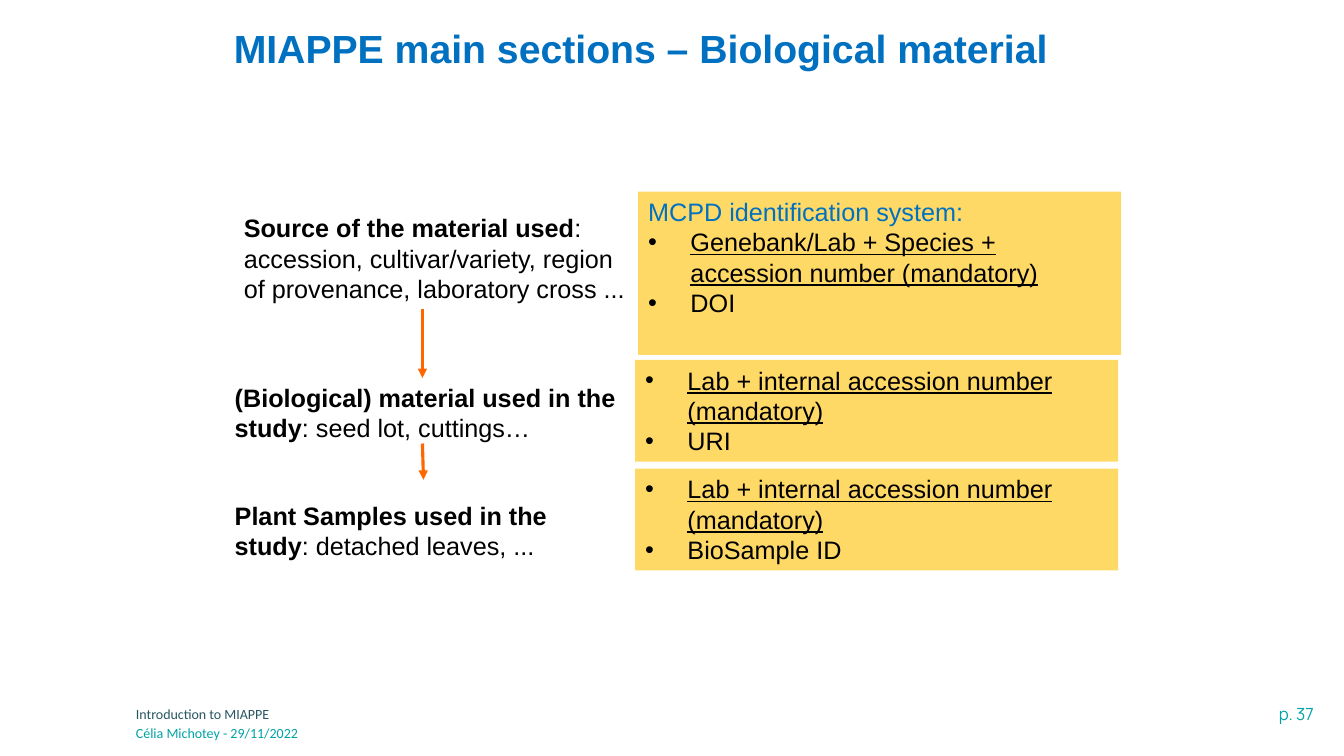
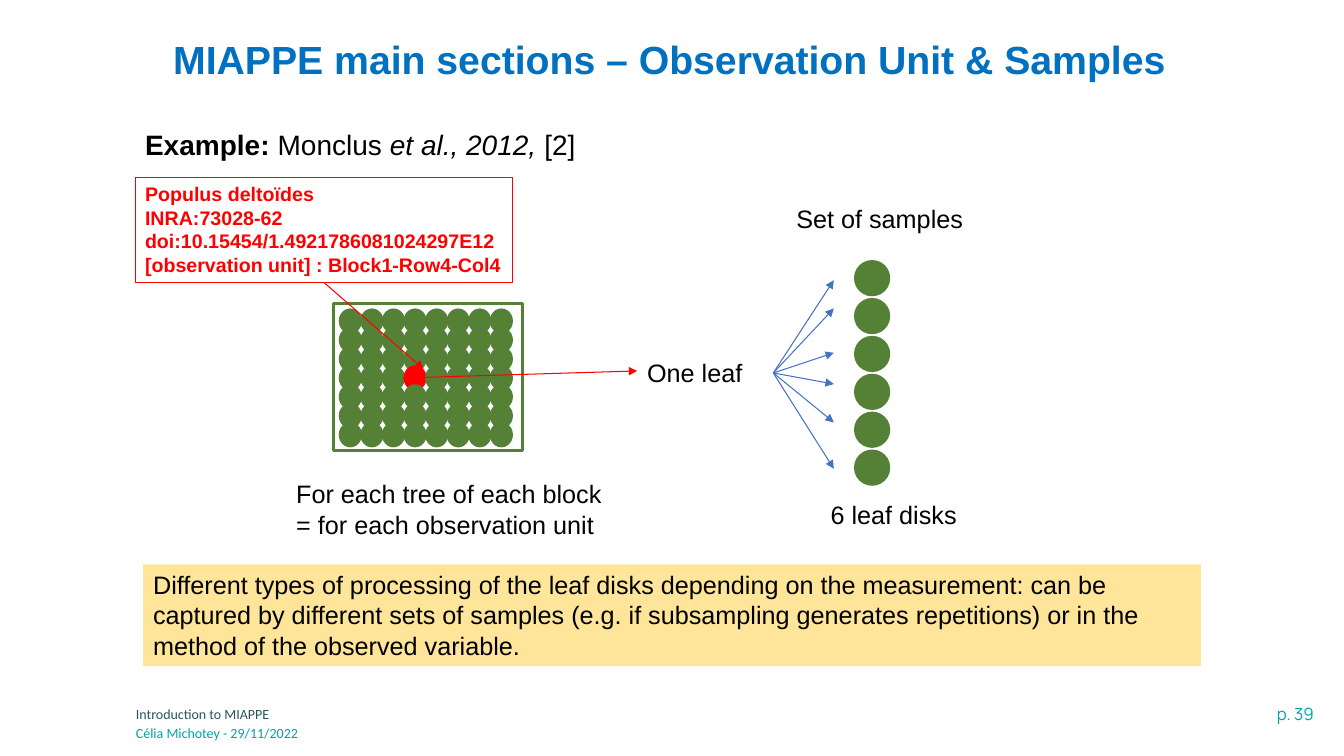
"""Build two slides on MIAPPE biological material, observation units and samples."""
from lxml import etree
from pptx import Presentation
from pptx.dml.color import RGBColor
from pptx.enum.shapes import MSO_CONNECTOR, MSO_SHAPE
from pptx.enum.text import MSO_ANCHOR, PP_ALIGN
from pptx.oxml.ns import qn
from pptx.util import Inches, Pt

RECTANGLE, OVAL = MSO_SHAPE.RECTANGLE, MSO_SHAPE.OVAL
STRAIGHT = MSO_CONNECTOR.STRAIGHT
LEFT, RIGHT = PP_ALIGN.LEFT, PP_ALIGN.RIGHT
TOP = MSO_ANCHOR.TOP

BLACK = RGBColor(0x00, 0x00, 0x00)
WHITE = RGBColor(0xFF, 0xFF, 0xFF)
TITLE_BLUE = RGBColor(0x00, 0x70, 0xC0)
TEAL = RGBColor(0x00, 0xA3, 0xA6)
DARK_TEAL = RGBColor(0x27, 0x56, 0x62)
GOLD = RGBColor(0xFF, 0xD9, 0x66)
PALE_GOLD = RGBColor(0xFE, 0xE5, 0x99)
ORANGE = RGBColor(0xFF, 0x66, 0x00)
GREEN = RGBColor(0x54, 0x81, 0x35)
RED = RGBColor(0xFF, 0x00, 0x00)
ARROW_BLUE = RGBColor(0x44, 0x72, 0xC4)

SLIDE_SIZE = (13.33, 7.5)
FOOTER = [
    ("Introduction to MIAPPE", 6.95, DARK_TEAL),
    ("Célia Michotey - 29/11/2022", 7.14, TEAL),
]
BULLET_INDENT = 0.42

MATERIALS = [
    ((2.32, 2.06, 4.1, 1.01), "Source of the material used",
     ": accession, cultivar/variety, region of provenance, laboratory cross ..."),
    ((2.23, 3.74, 4.1, 0.68), "(Biological) material used in the study",
     ": seed lot, cuttings…"),
    ((2.23, 4.91, 4.06, 0.68), "Plant Samples used in the study",
     ": detached leaves, ..."),
]
IDENTIFIERS = [
    ((6.33, 1.9, 4.79, 1.62), "MCPD identification system:",
     "Genebank/Lab + Species + accession number (mandatory)", "DOI"),
    ((6.3, 3.57, 4.79, 1.01), None,
     "Lab + internal accession number (mandatory)", "URI"),
    ((6.3, 4.65, 4.79, 1.01), None,
     "Lab + internal accession number (mandatory)", "BioSample ID"),
]
MATERIAL_ARROWS = [((4.19, 3.07), (4.19, 3.75)), ((4.19, 4.4), (4.2, 4.76))]

EXAMPLE = [("Example: ", "bold"), ("Monclus ", ""), ("et al., 2012, ", "italic"), ("[2]", "")]
LABELS = [
    ((2.84, 4.7, 3.4, 0.71), ["For each tree of each block", "= for each observation unit"]),
    ((6.32, 3.5, 1.35, 0.4), ["One leaf"]),
    ((8.14, 4.9, 1.6, 0.4), ["6 leaf disks"]),
    ((7.8, 1.97, 2, 0.4), ["Set of samples"]),
]
PROCESSING = (
    "Different types of processing of the leaf disks depending on the measurement: "
    "can be captured by different sets of samples (e.g. if subsampling generates "
    "repetitions) or in the method of the observed variable."
)
TREE_IDENTITY = [
    "Populus deltoïdes",
    "INRA:73028-62",
    "doi:10.15454/1.4921786081024297E12",
    "[observation unit] : Block1-Row4-Col4",
]
BLOCK = (3.31, 3.01, 1.87, 1.46)
TREE_ROWS, TREE_COLUMNS = 7, 8
FIRST_TREE, TREE_SIZE, TREE_PITCH = (3.36, 3.06), (0.23, 0.25), (0.214, 0.188)
SELECTED_TREE = (3, 3)
LEAF_POINT, ARROW_END_X = (7.67, 3.7), 8.27
ARROW_END_YS = [2.78, 3.06, 3.5, 3.81, 4.19, 4.65]
FIRST_DISK, DISK_SIZE, DISK_PITCH = (8.47, 2.58), 0.36, 0.376


def add_shape(slide, kind, box, fill=None, line=None, line_width=0.75):
    """Add a preset shape with an optional fill and outline."""
    shape = slide.shapes.add_shape(kind, *map(Inches, box))
    shape.shadow.inherit = False
    if fill is None:
        shape.fill.background()
    else:
        shape.fill.solid()
        shape.fill.fore_color.rgb = fill
    if line is None:
        shape.line.fill.background()
    else:
        shape.line.color.rgb = line
        shape.line.width = Pt(line_width)
    return shape


def add_bullet(paragraph):
    """Give a paragraph a black bullet and a hanging indent."""
    properties = paragraph._p.get_or_add_pPr()
    properties.set("marL", str(Inches(BULLET_INDENT)))
    properties.set("indent", str(-Inches(BULLET_INDENT)))
    color = etree.SubElement(properties, qn("a:buClr"))
    etree.SubElement(color, qn("a:srgbClr"), val=str(BLACK))
    etree.SubElement(properties, qn("a:buFont"), typeface="Arial")
    etree.SubElement(properties, qn("a:buChar"), char="•")


def add_text(slide, box, paragraphs, size=18, font="Arial", color=BLACK, bold=False,
             align=LEFT, fill=None, line=None):
    """Write paragraphs, each a string or a list of (text, style) runs."""
    if fill is None and line is None:
        shape = slide.shapes.add_textbox(*map(Inches, box))
    else:
        shape = add_shape(slide, RECTANGLE, box, fill, line)
    frame = shape.text_frame
    frame.word_wrap = True
    frame.vertical_anchor = TOP
    for index, runs in enumerate(paragraphs):
        paragraph = frame.paragraphs[0] if index == 0 else frame.add_paragraph()
        paragraph.alignment = align
        if isinstance(runs, str):
            runs = [(runs, "")]
        if "bullet" in runs[0][1]:
            add_bullet(paragraph)
        for text, style in runs:
            run = paragraph.add_run()
            run.text = text
            run.font.name = font
            run.font.size = Pt(size)
            run.font.bold = bold or "bold" in style
            run.font.italic = "italic" in style
            run.font.underline = "underline" in style
            run.font.color.rgb = TITLE_BLUE if "heading" in style else color


def add_arrow(slide, start, end, color, width=0.75):
    """Draw a straight arrow between two points."""
    connector = slide.shapes.add_connector(STRAIGHT, *map(Inches, start + end))
    connector.line.color.rgb = color
    connector.line.width = Pt(width)
    etree.SubElement(connector.line._get_or_add_ln(), qn("a:tailEnd"), type="triangle")
    etree.SubElement(connector._element.spPr, qn("a:effectLst"))


def add_slide(presentation, title, title_box, page):
    """Add a blank slide with the shared title and footer."""
    slide = presentation.slides.add_slide(presentation.slide_layouts[6])
    add_text(slide, (10.85, 6.93, 2.28, 0.3), [f"p. {page}"], size=12, font="Manrope",
             color=TEAL, align=RIGHT)
    for text, top, color in FOOTER:
        add_text(slide, (1.25, top, 7.34, 0.28), [text], size=10, font="Calibri", color=color)
    add_text(slide, title_box, [title], size=28, color=TITLE_BLUE, bold=True, fill=WHITE)
    return slide


def build_material_slide(presentation):
    """Show each material level beside its identifiers."""
    slide = add_slide(presentation, "MIAPPE main sections – Biological material",
                      (2.22, 0.19, 9.05, 0.57), 37)
    for box, name, examples in MATERIALS:
        add_text(slide, box, [[(name, "bold"), (examples, "")]])
    for box, heading, mandatory, optional in IDENTIFIERS:
        paragraphs = [[(heading, "heading")]] if heading else []
        paragraphs += [[(mandatory, "bullet underline")], [(optional, "bullet")]]
        add_text(slide, box, paragraphs, fill=GOLD)
    for start, end in MATERIAL_ARROWS:
        add_arrow(slide, start, end, ORANGE, 2.25)


def build_samples_slide(presentation):
    """Show a block of trees, one leaf and its six disks."""
    slide = add_slide(presentation, "MIAPPE main sections – Observation Unit & Samples",
                      (1.62, 0.3, 10.2, 0.57), 39)
    add_shape(slide, RECTANGLE, BLOCK, line=GREEN, line_width=2.25)
    for row in range(TREE_ROWS):
        for column in range(TREE_COLUMNS):
            left = FIRST_TREE[0] + column * TREE_PITCH[0]
            top = FIRST_TREE[1] + row * TREE_PITCH[1]
            color = RED if (row, column) == SELECTED_TREE else GREEN
            add_shape(slide, OVAL, (left, top, *TREE_SIZE), color)
    add_text(slide, (1.34, 1.22, 9.74, 0.44), [EXAMPLE], size=20)
    for box, lines in LABELS:
        add_text(slide, box, lines)
    add_arrow(slide, (4, 3.75), (6.32, 3.68), RED)
    for index, end_y in enumerate(ARROW_END_YS):
        add_arrow(slide, LEAF_POINT, (ARROW_END_X, end_y), ARROW_BLUE)
        disk_top = FIRST_DISK[1] + index * DISK_PITCH
        add_shape(slide, OVAL, (FIRST_DISK[0], disk_top, DISK_SIZE, DISK_SIZE), GREEN)
    add_text(slide, (1.42, 5.6, 10.49, 1.01), [PROCESSING], fill=PALE_GOLD)
    add_arrow(slide, (3.21, 2.8), (4.2, 3.66), RED)
    add_text(slide, (1.34, 1.76, 3.74, 1.04), TREE_IDENTITY, size=14, color=RED,
             bold=True, line=RED)


def main():
    """Build and save the presentation."""
    presentation = Presentation()
    presentation.slide_width, presentation.slide_height = map(Inches, SLIDE_SIZE)
    build_material_slide(presentation)
    build_samples_slide(presentation)
    presentation.save("out.pptx")


if __name__ == "__main__":
    main()
